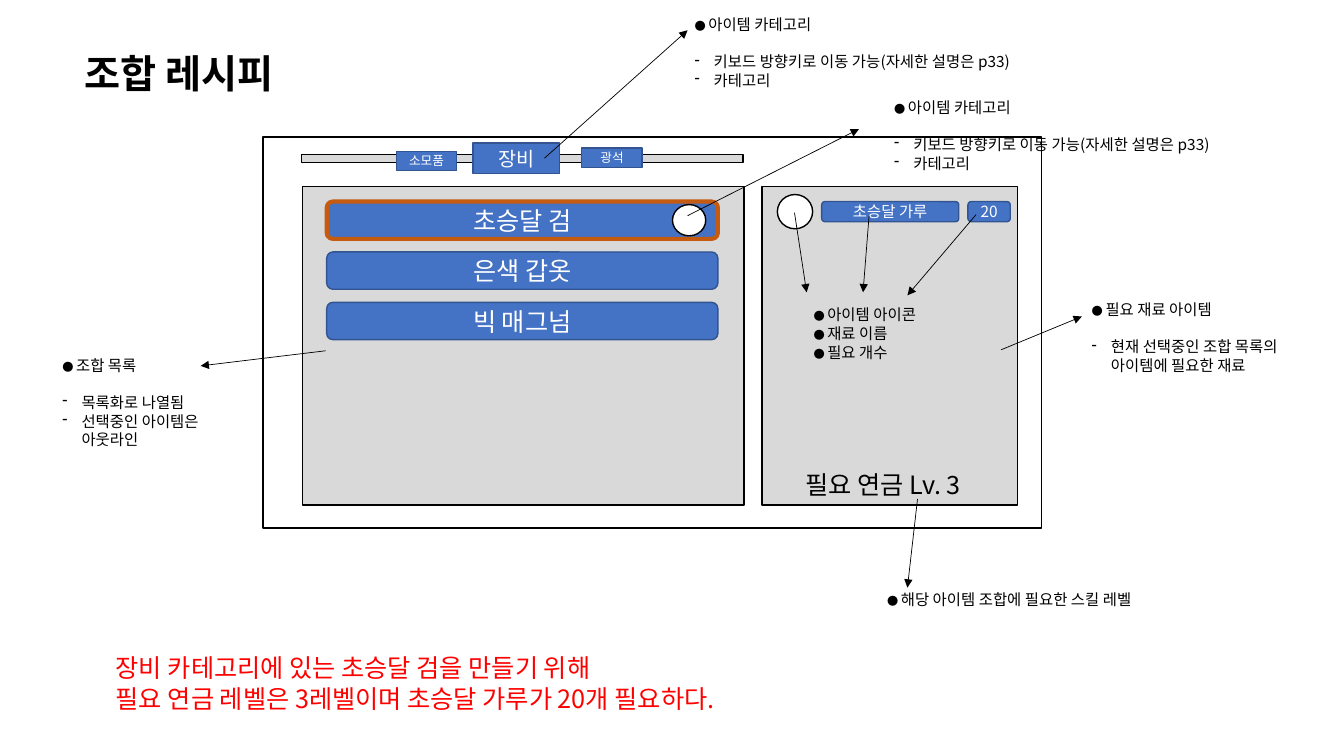
from dataclasses import dataclass

from lxml.etree import SubElement
from pptx import Presentation
from pptx.dml.color import RGBColor
from pptx.enum.shapes import MSO_CONNECTOR, MSO_SHAPE
from pptx.enum.text import MSO_ANCHOR, PP_ALIGN
from pptx.oxml.ns import qn
from pptx.util import Pt

PX = 9144  # 100 px to the inch


@dataclass(frozen=True)
class Theme:
    font: str = "Noto Sans CJK KR"
    title_font: str = "Roboto"
    black: str = "000000"
    white: str = "FFFFFF"
    red: str = "FF0000"
    panel: str = "D9D9D9"
    blue: str = "4472C4"
    blue_edge: str = "325491"
    selected: str = "C55A11"
    title: int = 28
    large: int = 18
    tab: int = 14
    body: int = 11
    small: int = 9
    dot: int = 8
    leading: float = 1.21


T = Theme()


def add_text(tf, paragraphs, color=T.black, fixed=True, **formats):
    """Fill tf with paragraphs, each a list of (text, size) runs."""
    for i, runs in enumerate(paragraphs):
        p = tf.paragraphs[0] if i == 0 else tf.add_paragraph()
        if fixed:
            p.line_spacing = Pt(round(T.leading * max(size for _, size in runs), 1))
        for name, value in formats.items():
            setattr(p, name, value)
        for text, size in runs:
            r = p.add_run()
            r.text = text
            r.font.size = Pt(size)
            r.font.name = T.font
            r.font.color.rgb = RGBColor.from_string(color)
            SubElement(r._r.rPr, qn("a:ea"), typeface=T.font)


def add_box(x, y, w, h):
    tf = s.shapes.add_textbox(x * PX, y * PX, w * PX, h * PX).text_frame
    tf.word_wrap = True
    return tf


prs = Presentation()
prs.slide_width, prs.slide_height = 1333 * PX, 750 * PX
s = prs.slides.add_slide(prs.slide_layouts[5])

# Title
title = s.shapes.title
for name, value in dict(left=74, top=44, width=273, height=57).items():
    setattr(title, name, value * PX)
tf = title.text_frame
tf.vertical_anchor = MSO_ANCHOR.TOP
p = tf.paragraphs[0]
p.alignment = PP_ALIGN.LEFT
r = p.add_run()
r.text = "조합 레시피"
for name, value in dict(name=T.title_font, size=Pt(T.title), bold=True).items():
    setattr(r.font, name, value)
r.font.color.rgb = RGBColor.from_string(T.black)

# Recipe window: kind, x, y, w, h, fill, edge, edge width, label, label size
RECT, ROUND, OVAL = MSO_SHAPE.RECTANGLE, MSO_SHAPE.ROUNDED_RECTANGLE, MSO_SHAPE.OVAL
parts = [
    (RECT, 261, 136, 772, 388, None, T.black, 1, "", 0),
    (RECT, 299, 153, 438, 8, T.panel, T.black, 1, "", 0),
    (RECT, 300, 185, 438, 316, T.panel, T.black, 1, "", 0),
    (RECT, 756, 185, 253, 316, T.panel, T.black, 1, "", 0),
    (OVAL, 771, 193, 35, 34, T.white, T.black, 1, "", 0),
]
for kind, x, y, w, h, label, size in [
    (RECT, 469, 142, 86, 30, "장비", T.tab),
    (RECT, 393, 150, 60, 19, "소모품", T.small),
    (RECT, 577, 147, 60, 19, "광석", T.small),
    (ROUND, 815, 200, 136, 20, "초승달 가루", T.body),
    (ROUND, 960, 200, 42, 20, "20", T.body),
]:
    parts.append((kind, x, y, w, h, T.blue, T.blue_edge, 1, label, size))
for i, label in enumerate(["초승달 검", "은색 갑옷", "빅 매그넘"]):
    edge, width = (T.selected, 3) if i == 0 else (T.blue_edge, 1)
    parts.append((ROUND, 324, 200 + 50 * i, 388, 37, T.blue, edge, width, label, T.large))
parts.append((OVAL, 667, 203, 33, 31, T.white, T.black, 1, "", 0))

for kind, x, y, w, h, fill, edge, width, label, size in parts:
    sp = s.shapes.add_shape(kind, x * PX, y * PX, w * PX, h * PX)
    sp.shadow.inherit = False
    if fill:
        sp.fill.solid()
        sp.fill.fore_color.rgb = RGBColor.from_string(fill)
    else:
        sp.fill.background()
    sp.line.color.rgb = RGBColor.from_string(edge)
    sp.line.width = Pt(width)
    if label:
        tf = sp.text_frame
        tf.word_wrap = False
        tf.margin_top = tf.margin_bottom = 0
        tf.vertical_anchor = MSO_ANCHOR.MIDDLE
        add_text(tf, [[(label, size)]], T.white, alignment=PP_ALIGN.CENTER)

# Notes: a dotted heading, then dashed lines
category = ("아이템 카테고리", ["키보드 방향키로 이동 가능(자세한 설명은 p33)", "카테고리"])
notes = [
    (679, 10, 381, 84, *category),
    (877, 92, 381, 84, *category),
    (52, 348, 169, 103, "조합 목록", ["목록화로 나열됨", "선택중인 아이템은 아웃라인"]),
    (1073, 293, 233, 84, "필요 재료 아이템", ["현재 선택중인 조합 목록의 아이템에 필요한 재료"]),
    (870, 580, 310, 29, "해당 아이템 조합에 필요한 스킬 레벨", []),
]
for x, y, w, h, heading, items in notes:
    tf = add_box(x, y, w, h)
    add_text(tf, [[("● ", T.dot), (heading, T.body)]] + [[(item, T.body)] for item in items])
    for i, p in enumerate(tf.paragraphs[1:]):
        pPr = p._p.get_or_add_pPr()
        pPr.set("marL", str(19 * PX))
        pPr.set("indent", str(-19 * PX))
        if i == 0:
            p.space_before = Pt(T.leading * T.body)
        SubElement(pPr, qn("a:buChar"), char="-")

add_text(add_box(797, 298, 145, 66),
         [[("● ", T.dot), (name, T.body)] for name in ("아이템 아이콘", "재료 이름", "필요 개수")])
add_text(add_box(789, 460, 196, 40), [[("필요 연금 Lv. 3", T.large)]])
add_text(add_box(105, 642, 945, 71),
         [[("장비 카테고리에 있는 초승달 검을 만들기 위해", T.large)],
          [("필요 연금 레벨은 3레벨이며 초승달 가루가 20개 필요하다.", T.large)]], T.red)

# Arrows from the window to the notes
for ends in [
    (540, 157, 682, 30),
    (682, 214, 852, 128),
    (323, 348, 199, 363),
    (993, 347, 1073, 314),
    (788, 211, 800, 290),
    (862, 214, 856, 290),
    (968, 213, 900, 293),
    (910, 495, 900, 583),
]:
    arrow = s.shapes.add_connector(MSO_CONNECTOR.STRAIGHT, *(v * PX for v in ends))
    arrow.line.color.rgb = RGBColor.from_string(T.black)
    arrow.line.width = Pt(0.5)
    SubElement(arrow.line._get_or_add_ln(), qn("a:tailEnd"), type="triangle")
    SubElement(arrow._element.spPr, qn("a:effectLst"))

prs.save("out.pptx")
